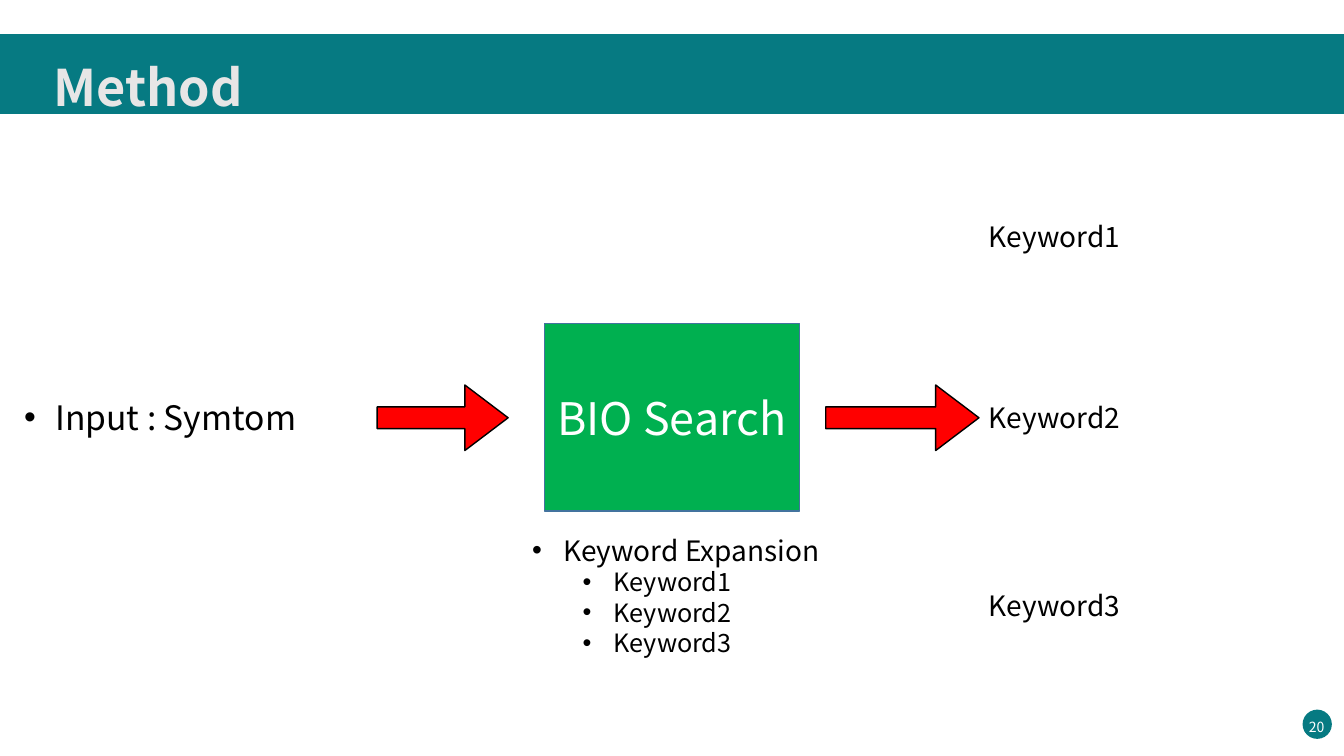
"""Build the Method slide: a symptom goes into BIO Search and keywords come out."""
from lxml import etree
from pptx import Presentation
from pptx import util as u
from pptx.dml.color import RGBColor
from pptx.enum import shapes, text
from pptx.oxml.ns import qn

FONT = "Noto Sans CJK KR"
TEAL = RGBColor(0x06, 0x7A, 0x82)
GREEN = RGBColor(0x00, 0xB0, 0x50)
BLUE = RGBColor(0x43, 0x73, 0x9E)
RED = RGBColor(0xFF, 0x00, 0x00)
BLACK = RGBColor(0x00, 0x00, 0x00)
WHITE = RGBColor(0xFF, 0xFF, 0xFF)
PALE = RGBColor(0xE7, 0xE6, 0xE6)

WIDTH, HEIGHT = u.Inches(13.333), u.Inches(7.5)
KEYWORDS = ["Keyword1", "Keyword2", "Keyword3"]
KEYWORD_ROWS = [28.4, 52.27, 77.2]
KEYWORD_LEFT = 72.84
ARROW_ROW, ARROW_HEIGHT = 50.93, 8.67
INDENT = 0.31


def area(left, top, width, height):
    """Turn percentages of the slide into left, top, width and height."""
    return [int(share * side / 100) for share, side in
            zip((left, top, width, height), (WIDTH, HEIGHT, WIDTH, HEIGHT))]


def style(para, size, color, bold=False):
    """Format the runs of a paragraph."""
    for span in para.runs:
        span.font.name = FONT
        span.font.size = u.Pt(size)
        span.font.bold = bold
        span.font.color.rgb = color


def add_bullet(para, level=0):
    """Give a paragraph a hanging bullet at its level."""
    para.level = level
    props = para._p.get_or_add_pPr()
    props.set("marL", str(u.Inches(INDENT + level / 2)))
    props.set("indent", str(-u.Inches(INDENT)))
    etree.SubElement(props, qn("a:buFont")).set("typeface", "Arial")
    etree.SubElement(props, qn("a:buChar")).set("char", "•")


def add_shape(slide, kind, place, fill, line=None):
    """Add a flat shape with an optional one-point outline."""
    shape = slide.shapes.add_shape(kind, *area(*place))
    shape.shadow.inherit = False
    shape.fill.solid()
    shape.fill.fore_color.rgb = fill
    if line is None:
        shape.line.fill.background()
    else:
        shape.line.color.rgb = line
        shape.line.width = u.Pt(1)
    return shape


def add_arrow(slide, left, width):
    """Add a red arrow on the row of the flow."""
    arrow = add_shape(slide, shapes.MSO_SHAPE.RIGHT_ARROW,
                      (left, ARROW_ROW, width, ARROW_HEIGHT), RED, BLACK)
    arrow.adjustments[0] = 0.33
    arrow.adjustments[1] = 0.66


def add_text(slide, place, words, size, color=BLACK):
    """Add a wrapping text box and return its first paragraph and frame."""
    frame = slide.shapes.add_textbox(*area(*place)).text_frame
    frame.word_wrap = True
    para = frame.paragraphs[0]
    para.text = words
    style(para, size, color)
    return para, frame


def add_title(slide, words):
    """Draw the banner and set the title in front of it."""
    add_shape(slide, shapes.MSO_SHAPE.RECTANGLE, (0, 4.53, 100, 10.53), TEAL)
    title = slide.shapes.title
    slide.shapes._spTree.append(title._element)
    title.left, title.top, title.width, title.height = area(3.23, 2.8, 15.6, 12.27)
    frame = title.text_frame
    frame.text = words
    frame.word_wrap = False
    frame.auto_size = text.MSO_AUTO_SIZE.NONE
    frame.vertical_anchor = text.MSO_ANCHOR.TOP
    para = frame.paragraphs[0]
    para.alignment = text.PP_ALIGN.LEFT
    para.line_spacing = 1.5
    style(para, 36, PALE, bold=True)


def add_page_number(slide, number):
    """Add the page number on its disc."""
    add_shape(slide, shapes.MSO_SHAPE.OVAL, (96.92, 93.87, 2.18, 3.87), TEAL)
    para, frame = add_text(slide, (95.95, 93.33, 4.05, 4.4), number, 10, WHITE)
    frame.word_wrap = False
    para.alignment = text.PP_ALIGN.CENTER
    para.line_spacing = 1.5


def add_search_box(slide, words):
    """Add the green box in the middle of the flow."""
    box = add_shape(slide, shapes.MSO_SHAPE.RECTANGLE,
                    (40.51, 42.8, 18.98, 24.8), GREEN, BLUE)
    box.text_frame.text = words
    box.text_frame.vertical_anchor = text.MSO_ANCHOR.MIDDLE
    para = box.text_frame.paragraphs[0]
    para.alignment = text.PP_ALIGN.CENTER
    style(para, 32, WHITE)


def add_expansion(slide, heading, items):
    """Add the bulleted list below the search box."""
    para, frame = add_text(slide, (38.86, 69.87, 23.63, 22.4), heading, 20)
    add_bullet(para)
    for item in items:
        para = frame.add_paragraph()
        para.text = item
        add_bullet(para, level=1)
        style(para, 18, BLACK)


def main():
    """Build and save the deck."""
    deck = Presentation()
    deck.slide_width, deck.slide_height = WIDTH, HEIGHT
    slide = deck.slides.add_slide(deck.slide_layouts.get_by_name("Title Only"))
    add_page_number(slide, "20")
    add_title(slide, "Method")
    para, _ = add_text(slide, (1.05, 51.87, 28.51, 6.67), "Input : Symtom", 24)
    add_bullet(para)
    add_arrow(slide, 28.06, 9.75)
    add_search_box(slide, "BIO Search")
    add_arrow(slide, 61.44, 11.4)
    add_expansion(slide, "Keyword Expansion", KEYWORDS)
    for keyword, row in zip(KEYWORDS, KEYWORD_ROWS):
        add_text(slide, (KEYWORD_LEFT, row, 14.33, 5.87), keyword, 20)
    deck.save("out.pptx")


if __name__ == "__main__":
    main()
